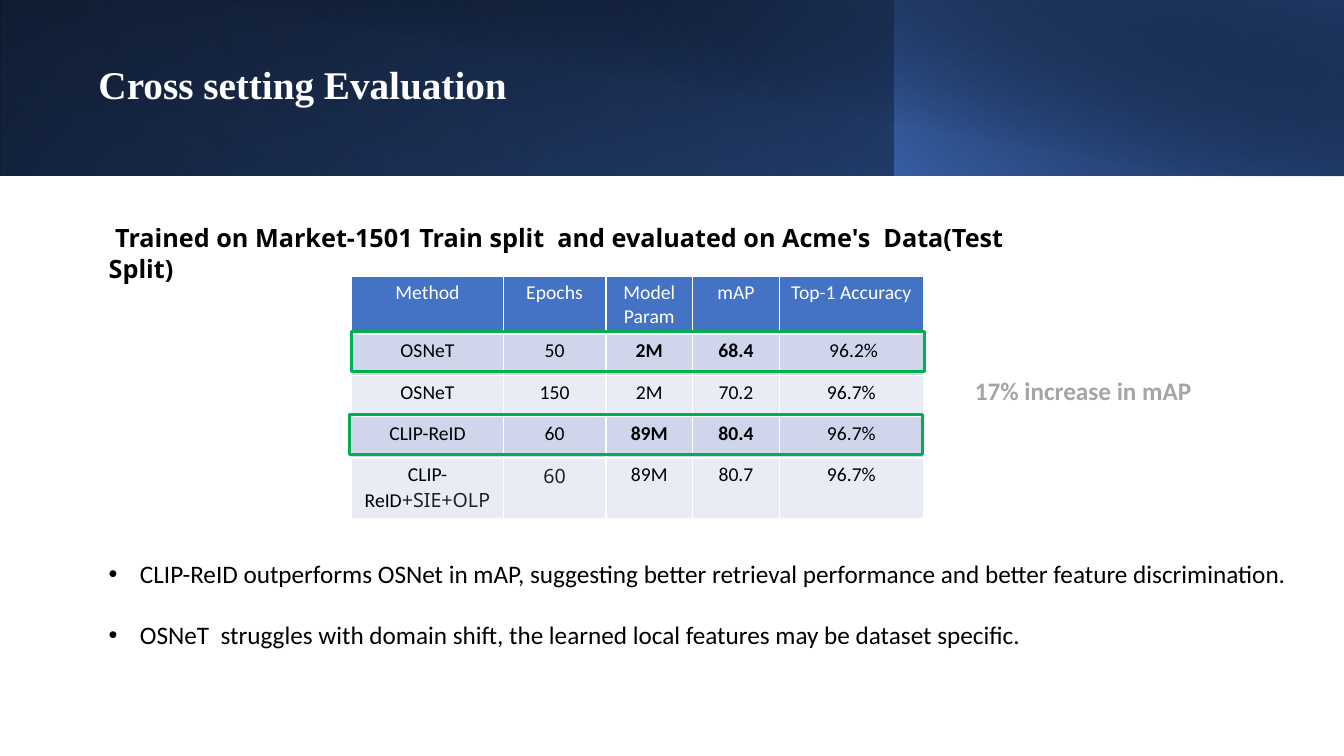
from dataclasses import dataclass

import lxml.etree
import pptx
import pptx.dml.color
import pptx.enum.shapes
import pptx.enum.text
import pptx.oxml
import pptx.oxml.ns
import pptx.util

Inches, Pt = pptx.util.Inches, pptx.util.Pt
qn = pptx.oxml.ns.qn
ALIGN, ANCHOR = pptx.enum.text.PP_ALIGN, pptx.enum.text.MSO_ANCHOR
AUTO_SIZE = pptx.enum.text.MSO_AUTO_SIZE


@dataclass
class Area:
    left: float
    top: float
    width: float
    height: float

    def lengths(self) -> list:
        return [Inches(v) for v in (self.left, self.top, self.width, self.height)]


@dataclass
class Stop:
    position: int
    color: str
    opacity: int = 100


@dataclass
class Band:
    area: Area
    angle: int
    stops: list[Stop]
    flipped: bool = True
    rotation: int = 0


@dataclass
class Span:
    text: str
    size: float = 18
    name: str = "Calibri"
    color: str = "000000"
    bold: bool = False


BANDS = [
    Band(Area(0, 0, 13.33, 1.74), 140, [Stop(0, "000000"), Stop(100, "2F5496")]),
    Band(Area(0, 0, 8.88, 1.74), 230,
         [Stop(0, "4472C4", 0), Stop(20, "4472C4", 0), Stop(100, "1F3864", 54)], rotation=180),
    Band(Area(8.87, 0, 4.46, 1.74), 220, [Stop(0, "4472C4", 65), Stop(100, "000000", 29)]),
    Band(Area(0.5, 0, 12.83, 1.75), 280,
         [Stop(0, "000000", 0), Stop(50, "000000", 0), Stop(99, "1F3864", 51),
          Stop(100, "1F3864", 51)], flipped=False),
]
RESULTS = [
    ["Method", "Epochs", "Model Param", "mAP", "Top-1 Accuracy"],
    ["OSNeT", "50", "2M", "68.4", " 96.2%"],
    ["OSNeT", "150", "2M", "70.2", "96.7%"],
    ["CLIP-ReID", "60", "89M", "80.4", "96.7%"],
    ["CLIP-ReID+SIE+OLP", "60", "89M", "80.7", "96.7%"],
]
COLUMN_WIDTHS = [1.5, 1.02, 0.86, 0.86, 1.43]
ROW_HEIGHT = 0.41
COMPARED_ROWS = (1, 3)
COMPARED_COLUMNS = (2, 3)
HIGHLIGHTS = [Area(3.49, 3.29, 5.68, 0.4), Area(3.47, 4.11, 5.68, 0.4)]
FINDINGS = [
    "CLIP-ReID outperforms OSNet in mAP, suggesting better retrieval performance "
    "and better feature discrimination.",
    "OSNeT  struggles with domain shift, the learned local features may be dataset specific.",
]


def rgb(color: str) -> pptx.dml.color.RGBColor:
    return pptx.dml.color.RGBColor.from_string(color)


def apply(target: object, formats: dict) -> None:
    for key, value in formats.items():
        setattr(target, key, value)


def add_span(para, span: Span) -> None:
    run = para.add_run()
    run.text = span.text
    apply(run.font, {"size": Pt(span.size), "name": span.name, "bold": span.bold})
    run.font.color.rgb = rgb(span.color)


def add_rectangle(page, area: Area):
    shape = page.shapes.add_shape(pptx.enum.shapes.MSO_SHAPE.RECTANGLE, *area.lengths())
    shape.shadow.inherit = False
    return shape


def add_band(page, band: Band) -> None:
    shape = add_rectangle(page, band.area)
    shape.rotation = band.rotation
    shape.line.fill.background()
    shape.fill.gradient()
    properties = shape.element.spPr
    if band.flipped:
        properties.find(qn("a:xfrm")).set("flipH", "1")
    gradient = properties.find(qn("a:gradFill"))
    stop_list = gradient.find(qn("a:gsLst"))
    for old_stop in list(stop_list):
        stop_list.remove(old_stop)
    for stop in band.stops:
        node = lxml.etree.SubElement(stop_list, qn("a:gs"), pos=str(stop.position * 1000))
        color = lxml.etree.SubElement(node, qn("a:srgbClr"), val=stop.color)
        lxml.etree.SubElement(color, qn("a:alpha"), val=str(stop.opacity * 1000))
    direction = gradient.find(qn("a:lin"))
    direction.set("ang", str(band.angle * 60000))
    direction.set("scaled", "0")


def add_title(page, area: Area, span: Span) -> None:
    title = page.shapes.title
    apply(title, dict(zip(("left", "top", "width", "height"), area.lengths())))
    apply(title.text_frame, {"vertical_anchor": ANCHOR.MIDDLE, "word_wrap": True,
                             "auto_size": AUTO_SIZE.NONE})
    para = title.text_frame.paragraphs[0]
    apply(para, {"alignment": ALIGN.LEFT, "line_spacing": 0.9})
    add_span(para, span)


def add_text(page, area: Area, span: Span) -> None:
    frame = page.shapes.add_textbox(*area.lengths()).text_frame
    apply(frame, {"word_wrap": True, "auto_size": AUTO_SIZE.SHAPE_TO_FIT_TEXT})
    add_span(frame.paragraphs[0], span)


def add_bullets(page, area: Area, lines: list[str]) -> None:
    frame = page.shapes.add_textbox(*area.lengths()).text_frame
    apply(frame, {"word_wrap": True, "auto_size": AUTO_SIZE.NONE, "margin_top": Inches(0.36)})
    indent = Inches(0.31)
    for index, line in enumerate(lines):
        para = frame.add_paragraph() if index else frame.paragraphs[0]
        para.space_before = Pt(22 if index else 0)
        add_span(para, Span(line))
        properties = para._p.get_or_add_pPr()
        properties.set("marL", str(indent))
        properties.set("indent", str(-indent))
        lxml.etree.SubElement(properties, qn("a:buFont"), typeface="Arial")
        lxml.etree.SubElement(properties, qn("a:buChar"), char="•")


def cell_spans(row: int, column: int, text: str) -> list[Span]:
    """Style the text of one cell, setting the extension terms in Noto Sans."""
    extension = {"size": 14, "name": "Noto Sans", "color": "1F2328"}
    if row == 4 and column == 0:
        method, plus, terms = text.partition("+")
        return [Span(method, 14), Span(plus + terms, **extension)]
    if row == 4 and column == 1:
        return [Span(text, **extension)]
    bold = row in COMPARED_ROWS and column in COMPARED_COLUMNS
    return [Span(text, 14, color="000000" if row else "FFFFFF", bold=bold)]


def add_results(page, left: float, top: float) -> None:
    area = Area(left, top, sum(COLUMN_WIDTHS), ROW_HEIGHT * len(RESULTS))
    table = page.shapes.add_table(len(RESULTS), len(COLUMN_WIDTHS), *area.lengths()).table
    for column, width in zip(table.columns, COLUMN_WIDTHS):
        column.width = Inches(width)
    for row, texts in enumerate(RESULTS):
        row_color = ("CFD5EA" if row % 2 else "E9EBF5") if row else "4472C4"
        for column, text in enumerate(texts):
            cell = table.cell(row, column)
            cell.fill.solid()
            cell.fill.fore_color.rgb = rgb(row_color)
            para = cell.text_frame.paragraphs[0]
            para.alignment = ALIGN.CENTER
            for span in cell_spans(row, column, text):
                add_span(para, span)


def add_highlight(page, area: Area) -> None:
    frame = add_rectangle(page, area)
    frame.fill.background()
    frame.line.color.rgb = rgb("00B050")
    frame.line.width = Pt(2.25)


def main() -> None:
    deck = pptx.Presentation()
    apply(deck, {"slide_width": Inches(13.33), "slide_height": Inches(7.5)})
    page = deck.slides.add_slide(deck.slide_layouts.get_by_name("Title Only"))
    for band in BANDS:
        add_band(page, band)
    # The title placeholder exists first, so bring it in front of the header bands.
    page.shapes.element.append(page.shapes.title.element)
    add_title(page, Area(0.78, 0.43, 11.29, 0.87),
              Span(" Cross setting Evaluation", 28, "Times New Roman", "FFFFFF", True))
    add_results(page, 3.49, 2.74)
    add_text(page, Area(0.98, 2.16, 9.1, 0.4),
             Span(" Trained on Market-1501 Train split  and evaluated on Acme's  Data(Test Split)",
                  name="Noto Sans", bold=True))
    for area in HIGHLIGHTS:
        add_highlight(page, area)
    add_bullets(page, Area(0.98, 5.18, 12.32, 1.92), FINDINGS)
    add_text(page, Area(9.57, 3.67, 2.72, 0.4),
             Span("17% increase in mAP", color="A5A5A5", bold=True))
    deck.save("out.pptx")


if __name__ == "__main__":
    main()
